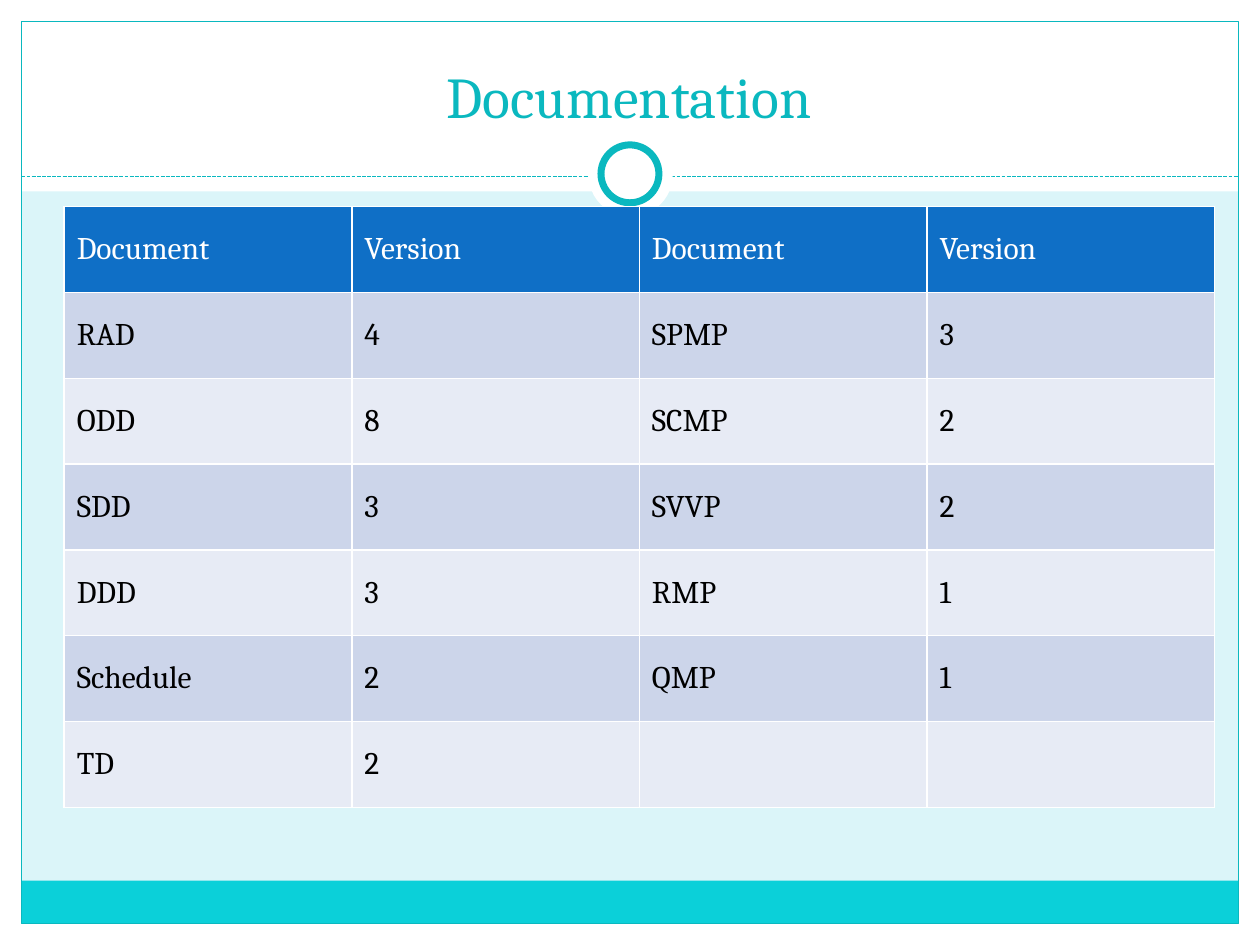
"""Build the Documentation slide with its table of document versions."""
from dataclasses import dataclass
from typing import Optional

from lxml.etree import SubElement
from pptx import Presentation
from pptx.dml.color import RGBColor
from pptx.enum.dml import MSO_LINE
from pptx.enum.shapes import MSO_CONNECTOR, MSO_SHAPE
from pptx.enum.text import MSO_ANCHOR, PP_ALIGN
from pptx.oxml.ns import qn
from pptx.util import Inches, Pt


@dataclass(frozen=True)
class Theme:
    font: str = "Cambria"
    title: float = 33
    body: float = 18
    edge: float = 1
    thin: float = 0.75
    ring: float = 4
    back: str = "DBF5F9"
    white: str = "FFFFFF"
    black: str = "000000"
    teal: str = "0AB8BF"
    foot: str = "0BD0D9"
    head: str = "0F6FC6"
    bands: tuple = ("CCD5EA", "E7EBF5")


@dataclass(frozen=True)
class Box:
    left: float
    top: float
    width: float
    height: float
    fill: Optional[str] = None
    line: Optional[str] = None
    weight: float = 0
    kind: int = MSO_SHAPE.RECTANGLE

    def place(self) -> tuple:
        return tuple(Inches(v) for v in (self.left, self.top, self.width, self.height))


THEME = Theme()
WIDTH, HEIGHT, RIM = 10, 7.5, 0.17
RULE = 1.4
TITLE = Box(0.33, 0.25, 9.33, 0.83)
GRID = Box(0.51, 1.64, 9.13, 4.77)
MARGINS = (
    Box(0, HEIGHT - RIM, WIDTH, RIM, THEME.white),
    Box(0, 0, WIDTH, 1.52, THEME.white),
    Box(0, 0, RIM, HEIGHT, THEME.white),
    Box(WIDTH - RIM, 0, RIM, HEIGHT, THEME.white),
    Box(RIM, 6.99, WIDTH - 2 * RIM, 0.34, THEME.foot),
    Box(RIM, RIM, WIDTH - 2 * RIM, HEIGHT - 2 * RIM, None, THEME.teal, THEME.thin),
)
RINGS = (
    Box(4.67, 1.05, 0.67, 0.67, THEME.white, kind=MSO_SHAPE.OVAL),
    Box(4.77, 1.15, 0.46, 0.46, THEME.white, THEME.teal, THEME.ring, MSO_SHAPE.OVAL),
)
ROWS = (
    ("Document", "Version", "Document", "Version"),
    ("RAD", "4", "SPMP", "3"),
    ("ODD", "8", "SCMP", "2"),
    ("SDD", "3", "SVVP", "2"),
    ("DDD", "3", "RMP", "1"),
    ("Schedule", "2", "QMP", "1"),
    ("TD", "2", "", ""),
)


def paint(fill, color: Optional[str]) -> None:
    if color is None:
        fill.background()
    else:
        fill.solid()
        fill.fore_color.rgb = RGBColor.from_string(color)


def draw(slide, box: Box) -> None:
    shape = slide.shapes.add_shape(box.kind, *box.place())
    shape.shadow.inherit = False
    paint(shape.fill, box.fill)
    paint(shape.line.fill, box.line)
    if box.line:
        shape.line.width = Pt(box.weight)


def rule(slide, top: float) -> None:
    line = slide.shapes.add_connector(
        MSO_CONNECTOR.STRAIGHT, Inches(RIM), Inches(top), Inches(WIDTH - RIM), Inches(top)
    )
    paint(line.line.fill, THEME.teal)
    line.line.width = Pt(THEME.thin)
    line.line.dash_style = MSO_LINE.SQUARE_DOT
    SubElement(line._element.spPr, qn("a:effectLst"))


def write(frame, text: str, *, size: float, color: str, align=PP_ALIGN.LEFT) -> None:
    para = frame.paragraphs[0]
    para.alignment = align
    para.font.size = Pt(size)
    if text:
        run = para.add_run()
        run.text = text
        run.font.name = THEME.font
        run.font.size = Pt(size)
        run.font.bold = False
        run.font.color.rgb = RGBColor.from_string(color)


def border(cell) -> None:
    props = cell._tc.get_or_add_tcPr()
    for side in ("lnL", "lnR", "lnT", "lnB"):
        line = SubElement(props, qn(f"a:{side}"), w=str(Pt(THEME.edge)))
        fill = SubElement(line, qn("a:solidFill"))
        SubElement(fill, qn("a:srgbClr"), val=THEME.white)


def tabulate(slide, rows: tuple, box: Box) -> None:
    table = slide.shapes.add_table(len(rows), len(rows[0]), *box.place()).table
    for col in table.columns:
        col.width = Inches(box.width / len(rows[0]))
    for i, row in enumerate(rows):
        table.rows[i].height = Inches(box.height / len(rows))
        back = THEME.bands[(i - 1) % 2] if i else THEME.head
        color = THEME.black if i else THEME.white
        for j, text in enumerate(row):
            cell = table.cell(i, j)
            cell.vertical_anchor = MSO_ANCHOR.MIDDLE
            border(cell)
            paint(cell.fill, back)
            write(cell.text_frame, text, size=THEME.body, color=color)


def main() -> None:
    deck = Presentation()
    deck.slide_width, deck.slide_height = Inches(WIDTH), Inches(HEIGHT)
    slide = deck.slides.add_slide(deck.slide_layouts[6])
    paint(slide.background.fill, THEME.back)
    for box in MARGINS:
        draw(slide, box)
    rule(slide, RULE)
    for box in RINGS:
        draw(slide, box)
    frame = slide.shapes.add_textbox(*TITLE.place()).text_frame
    frame.word_wrap = True
    frame.vertical_anchor = MSO_ANCHOR.BOTTOM
    write(frame, "Documentation", size=THEME.title, color=THEME.teal, align=PP_ALIGN.CENTER)
    tabulate(slide, ROWS, GRID)
    deck.save("out.pptx")


if __name__ == "__main__":
    main()
